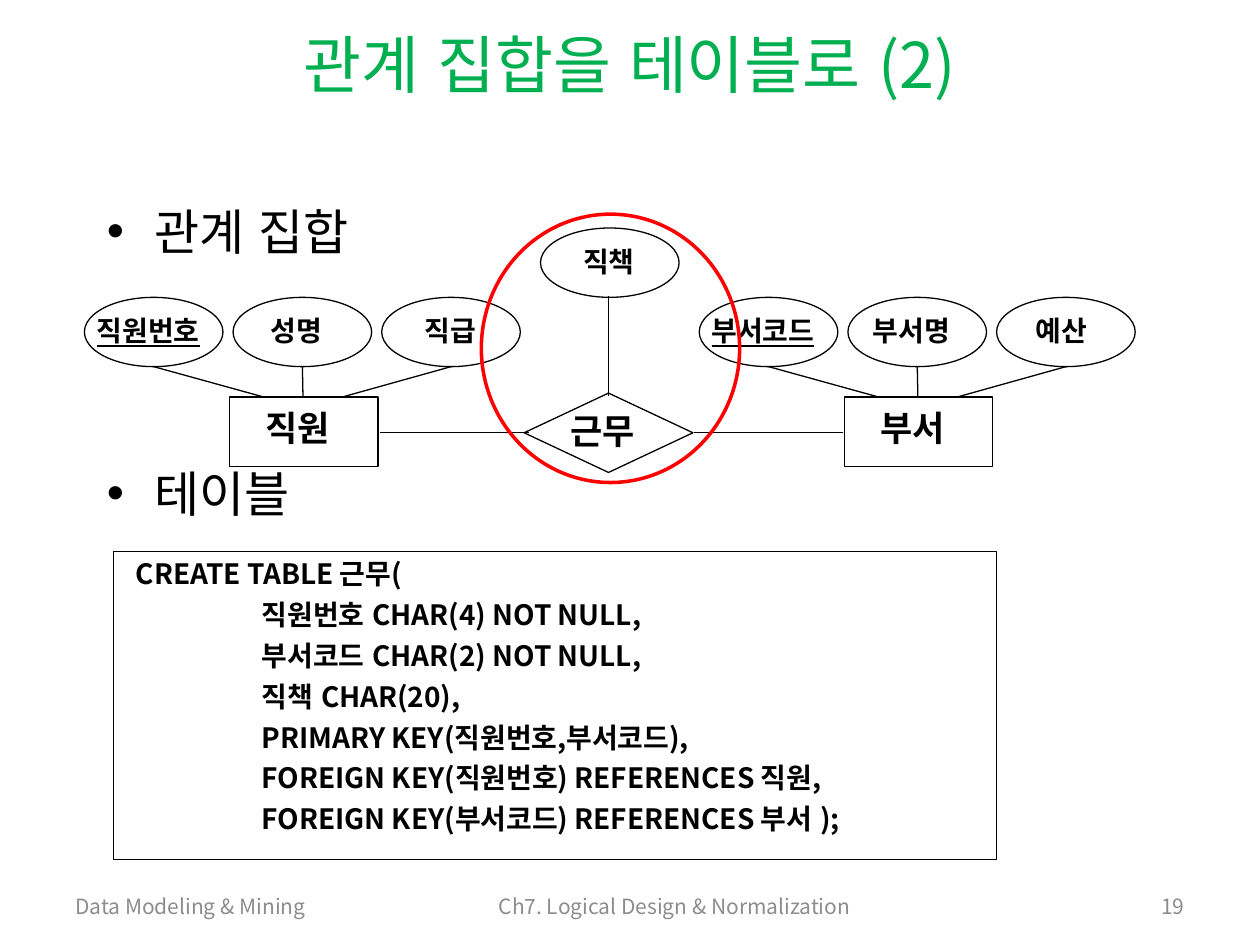
from dataclasses import dataclass
from pptx import Presentation
from pptx.dml.color import RGBColor
from pptx.enum.lang import MSO_LANGUAGE_ID
from pptx.enum.shapes import MSO_CONNECTOR, MSO_SHAPE
from pptx.enum.text import MSO_ANCHOR, PP_ALIGN
from pptx.oxml.ns import qn
from pptx.util import Inches, Pt
from lxml.etree import SubElement

COLS, ROWS = 100, 75
UNIT = Inches(10) // COLS


@dataclass(frozen=True)
class Theme:
    font: str = "Noto Sans CJK KR"
    ink: str = "000000"
    green: str = "00B050"
    red: str = "FF0000"
    gray: str = "8C8C8C"
    title: int = 36
    head: int = 28
    entity: int = 20
    body: int = 16
    foot: int = 12
    thin: float = 0.75
    thick: float = 2


@dataclass(frozen=True)
class Box:
    x: float
    y: float
    w: float
    h: float

    def at(self, x, y, w, h):
        return Box(self.x + x, self.y + y, w, h)

    def emu(self):
        return [round(v * UNIT) for v in (self.x, self.y, self.w, self.h)]


THEME = Theme()


def style(para, size, color=THEME.ink, bold=None, under=None, align=None):
    font = para.font
    font.name, font.size = THEME.font, Pt(size)
    font.color.rgb = RGBColor.from_string(color)
    font.bold, font.underline = bold, under
    if align is not None:
        para.alignment = align
    for run in para.runs:
        run.font.language_id = MSO_LANGUAGE_ID.KOREAN
        SubElement(run._r.get_or_add_rPr(), qn("a:ea")).set("typeface", THEME.font)


def mark(para, tag, **attrs):
    props = para._p.get_or_add_pPr()
    item = props.makeelement(qn(tag), attrs)
    props.insert_element_before(item, "a:defRPr", "a:extLst")
    return item


def write(slide, box, lines, size, anchor=MSO_ANCHOR.TOP, prep=None, **look):
    frame = slide.shapes.add_textbox(*box.emu()).text_frame
    frame.word_wrap = True
    frame.vertical_anchor = anchor
    for i, line in enumerate(lines):
        para = frame.add_paragraph() if i else frame.paragraphs[0]
        para.text = line
        if prep:
            prep(para, i)
        style(para, size, **look)


def outline(slide, kind, box, color=THEME.ink, width=THEME.thin):
    shape = slide.shapes.add_shape(kind, *box.emu())
    shape.shadow.inherit = False
    shape.fill.background()
    shape.line.color.rgb = RGBColor.from_string(color)
    shape.line.width = Pt(width)


def link(slide, *ends):
    line = slide.shapes.add_connector(
        MSO_CONNECTOR.STRAIGHT, *[round(v * UNIT) for v in ends])
    line.line.color.rgb = RGBColor.from_string(THEME.ink)
    line.line.width = Pt(THEME.thin)
    SubElement(line._element.spPr, qn("a:effectLst"))


def title(slide, box, text):
    shape = slide.shapes.title
    shape.left, shape.top, shape.width, shape.height = box.emu()
    frame = shape.text_frame
    frame.text = text
    frame.vertical_anchor = MSO_ANCHOR.MIDDLE
    style(frame.paragraphs[0], THEME.title, THEME.green, align=PP_ALIGN.CENTER)


def heads(slide, box, lines, gap):
    def prep(para, i):
        props = para._p.get_or_add_pPr()
        props.set("marL", str(Inches(0.38)))
        props.set("indent", str(-Inches(0.38)))
        if i:
            para.space_before = Pt(gap)
        mark(para, "a:buFont", typeface="Arial")
        mark(para, "a:buChar", char="•")

    write(slide, box, lines, THEME.head, prep=prep)


def oval(slide, box, text, shift, key=None):
    outline(slide, MSO_SHAPE.OVAL, box)
    write(slide, box.at(shift, 0.8, box.w, 3.7), [text], THEME.body,
          bold=True, under=key)


def entity(slide, box, name, fields):
    step, wide, high = 11.8, 11, 5.5
    base = box.at(11.5, box.h - high, step, high)
    outline(slide, MSO_SHAPE.RECTANGLE, base)
    write(slide, base.at(1.9, 0.3, 10.2, 4.3), [name], THEME.entity, bold=True)
    for i, (text, shift) in enumerate(fields):
        spot = box.at(i * step, 0, wide, high)
        oval(slide, spot, text, shift, key=True if i == 0 else None)
        link(slide, base.x + 2.7 + i * 3.15, base.y,
             spot.x + wide / 2, spot.y + high)


def relation(slide, box, name, field):
    outline(slide, MSO_SHAPE.DIAMOND, box.at(3.4, 14.2, 13.4, 6.3))
    write(slide, box.at(6.1, 15, 10.2, 4.3), [name], THEME.entity, bold=True)
    oval(slide, box.at(4.7, 1.1, 11, 5.5), field, 2.4)
    link(slide, box.x + 10.1, box.y + 14.4, box.x + 10.1, box.y + 6.5)
    for x in (-8, 16.9):
        link(slide, box.x + x, box.y + 17.35, box.x + x + 11.8, box.y + 17.35)
    outline(slide, MSO_SHAPE.OVAL, box, THEME.red, THEME.thick)


def code(slide, box, lines):
    def prep(para, i):
        para.line_spacing = 0.8
        if i:
            para.space_before = Pt(8)
        SubElement(mark(para, "a:tabLst"), qn("a:tab"),
                   pos=str(Inches(1)), algn="l")

    outline(slide, MSO_SHAPE.RECTANGLE, box)
    write(slide, box.at(0.8, 0.4, box.w - 0.8, box.h - 0.4), lines,
          THEME.body, prep=prep, bold=True)


def footer(slide, box, parts):
    for x, wide, text, align in parts:
        write(slide, box.at(x, 0, wide, box.h), [text], THEME.foot,
              MSO_ANCHOR.MIDDLE, color=THEME.gray, align=align)


def main():
    deck = Presentation()
    deck.slide_width, deck.slide_height = COLS * UNIT, ROWS * UNIT
    slide = deck.slides.add_slide(deck.slide_layouts[5])
    title(slide, Box(5, 1.6, 90, 6.8), "관계 집합을 테이블로 (2)")
    heads(slide, Box(7.5, 15.5, 85, 51.2), ["관계 집합", "테이블"], 116)
    entity(slide, Box(6.7, 23.6, 34.6, 13.4), "직원",
           [("직원번호", 0), ("성명", 2), ("직급", 2.4)])
    entity(slide, Box(55.5, 23.6, 34.6, 13.4), "부서",
           [("부서코드", 0), ("부서명", 1), ("예산", 2.1)])
    relation(slide, Box(38.2, 17, 20.5, 21.3), "근무", "직책")
    code(slide, Box(9, 43.8, 70.1, 24.4), [
        "CREATE TABLE 근무(",
        "\t직원번호 CHAR(4) NOT NULL,",
        "\t부서코드 CHAR(2) NOT NULL,",
        "\t직책 CHAR(20),",
        "\tPRIMARY KEY(직원번호,부서코드),",
        "\tFOREIGN KEY(직원번호) REFERENCES 직원,",
        "\tFOREIGN KEY(부서코드) REFERENCES 부서 );"])
    footer(slide, Box(5, 70.3, 90, 3.2), [
        (0, 23.3, "Data Modeling & Mining", PP_ALIGN.LEFT),
        (29.2, 38.7, "Ch7. Logical Design & Normalization", PP_ALIGN.CENTER),
        (84.4, 5.6, "19", PP_ALIGN.RIGHT)])
    deck.save("out.pptx")


if __name__ == "__main__":
    main()
